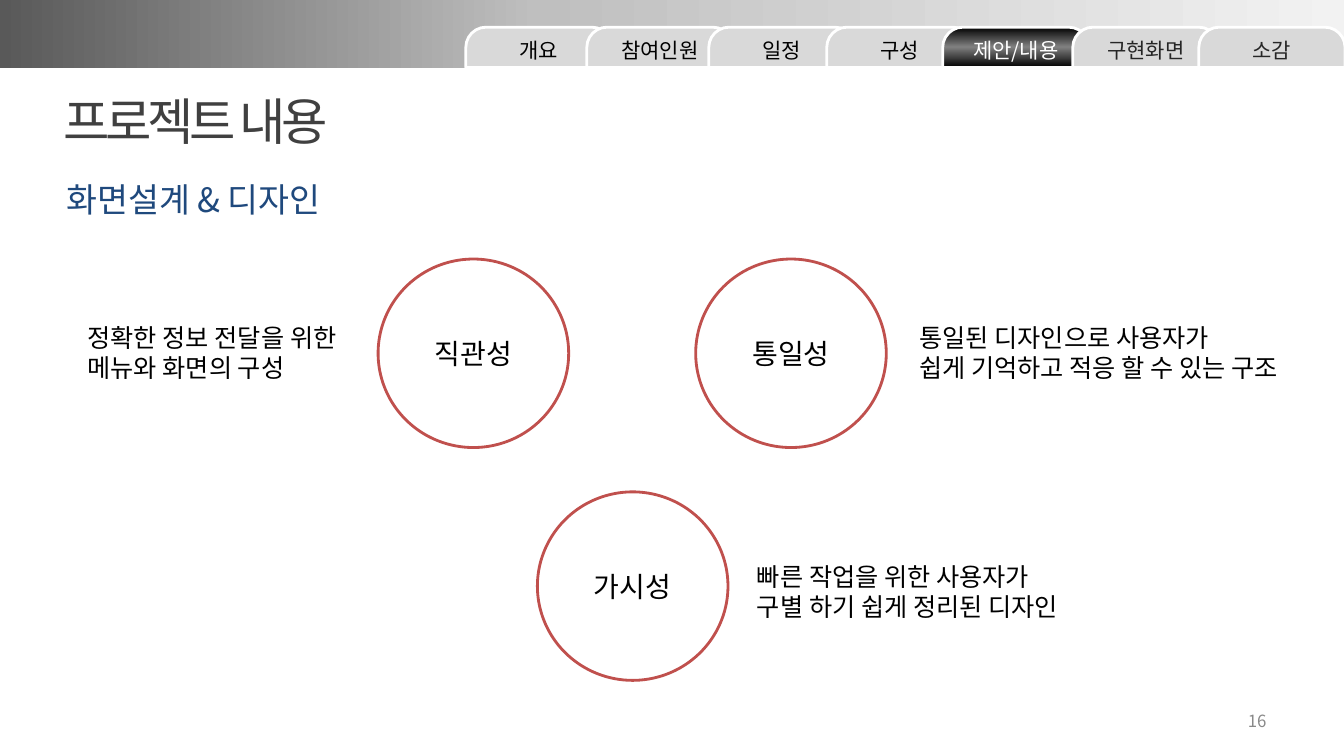
from dataclasses import dataclass

from lxml import etree
from pptx import Presentation
from pptx.dml.color import RGBColor
from pptx.enum.shapes import MSO_SHAPE
from pptx.enum.text import MSO_ANCHOR, MSO_AUTO_SIZE, PP_ALIGN
from pptx.oxml.ns import qn
from pptx.util import Inches, Pt

# Content
TITLE = "프로젝트 내용"
SUBTITLE = "화면설계 & 디자인"
PAGE_NUMBER = "16"
ACTIVE_TAB = "제안/내용"
TABS = [  # label, left
    ("개요", 4.62), ("참여인원", 5.82), ("일정", 7.03), ("구성", 8.2),
    (ACTIVE_TAB, 9.35), ("구현화면", 10.64), ("소감", 11.89),
]
LATER_TABS = ("구현화면", "소감")
PRINCIPLES = [  # name, circle left and top
    ("직관성", 3.75, 2.57), ("통일성", 6.9, 2.57), ("가시성", 5.33, 4.88),
]
NOTES = [  # lines, box, wrapped
    (["정확한 정보 전달을 위한", "메뉴와 화면의 구성"], (0.77, 3.15, 2.75, 0.71), False),
    (["통일된 디자인으로 사용자가", "쉽게 기억하고 적응 할 수 있는 구조"],
     (9.02, 3.15, 3.8, 0.71), True),
    (["빠른 작업을 위한 사용자가", "구별 하기 쉽게 정리된 디자인"],
     (7.41, 5.52, 3.27, 0.71), False),
]


@dataclass(frozen=True)
class Theme:
    font: str = "Noto Sans CJK KR"
    black: str = "000000"
    white: str = "FFFFFF"
    title: str = "404040"
    subtitle: str = "1F497D"
    circle: str = "C0504D"
    tab: str = "D9D9D9"
    later_tab: str = "262626"
    number: str = "898989"
    bar: tuple = ((0, "595959"), (40, "BFBFBF"), (100, "F2F2F2"))
    active: tuple = ((0, "000000"), (51, "808080"), (100, "000000"))
    title_size: int = 36
    subtitle_size: int = 24
    circle_size: int = 20
    note_size: int = 18
    tab_size: int = 15
    number_size: int = 12
    line: int = 2


THEME = Theme()


def write(shape, lines, size, color, align=PP_ALIGN.LEFT,
          anchor=MSO_ANCHOR.MIDDLE, wrap=True, grow=False, spacing=None):
    frame = shape.text_frame
    frame.word_wrap = wrap
    frame.auto_size = MSO_AUTO_SIZE.SHAPE_TO_FIT_TEXT if grow else MSO_AUTO_SIZE.NONE
    frame.vertical_anchor = anchor
    for index, line in enumerate(lines):
        para = frame.add_paragraph() if index else frame.paragraphs[0]
        para.alignment = align
        span = para.add_run()
        span.text = line
        span.font.name = THEME.font
        span.font.size = Pt(size)
        span.font.color.rgb = RGBColor.from_string(color)
        properties = span.font._element
        etree.SubElement(properties, qn("a:ea")).set("typeface", THEME.font)
        if spacing is not None:
            properties.set("spc", str(spacing * 100))


def fill_gradient(shape, stops, angle):
    shape.fill.gradient()
    shape.fill.gradient_angle = angle
    stop_list = shape._element.spPr.find(qn("a:gradFill")).find(qn("a:gsLst"))
    for stop in list(stop_list):
        stop_list.remove(stop)
    for position, color in stops:
        stop = etree.SubElement(stop_list, qn("a:gs"), pos=str(position * 1000))
        etree.SubElement(stop, qn("a:srgbClr"), val=color)


def add_shape(page, kind, box, fill=None, line=None):
    shape = page.shapes.add_shape(kind, *map(Inches, box))
    shape.shadow.inherit = False
    if fill:
        shape.fill.solid()
        shape.fill.fore_color.rgb = RGBColor.from_string(fill)
    if line:
        shape.line.color.rgb = RGBColor.from_string(line)
        shape.line.width = Pt(THEME.line)
    else:
        shape.line.fill.background()
    return shape


def add_text(page, box, *args, **options):
    write(page.shapes.add_textbox(*map(Inches, box)), *args, **options)


def main():
    deck = Presentation()
    deck.slide_width, deck.slide_height = Inches(13.33), Inches(7.5)
    page = deck.slides.add_slide(deck.slide_layouts[5])

    # Header bar
    bar = add_shape(page, MSO_SHAPE.RECTANGLE, (0, -0.01, 13.33, 0.68))
    fill_gradient(bar, THEME.bar, 0)

    # Title and subtitle
    title = page.shapes.title
    title.left, title.top, title.width, title.height = map(Inches, (0.53, 0.84, 3.08, 0.71))
    write(title, [TITLE], THEME.title_size, THEME.title,
          anchor=MSO_ANCHOR.TOP, wrap=False, grow=True, spacing=-3)
    add_text(page, (0.56, 1.81, 8.46, 0.33), [SUBTITLE],
             THEME.subtitle_size, THEME.subtitle)

    # Design principles
    for name, left, top in PRINCIPLES:
        circle = add_shape(page, MSO_SHAPE.OVAL, (left, top, 1.89, 1.87),
                           THEME.white, THEME.circle)
        write(circle, [name], THEME.circle_size, THEME.black, PP_ALIGN.CENTER)
    for lines, box, wrapped in NOTES:
        add_text(page, box, lines, THEME.note_size, THEME.black,
                 anchor=MSO_ANCHOR.TOP, wrap=wrapped, grow=True)

    # Page number
    add_text(page, (9.55, 6.95, 3.11, 0.4), [PAGE_NUMBER],
             THEME.number_size, THEME.number, PP_ALIGN.RIGHT)

    # Navigation tabs, each overlapping the one before
    for label, left in TABS:
        tab = add_shape(page, MSO_SHAPE.ROUND_2_SAME_RECTANGLE,
                        (left, 0.27, 1.45, 0.4), THEME.tab, THEME.white)
        tab.adjustments[0], tab.adjustments[1] = 0.5, 0
        color = THEME.later_tab if label in LATER_TABS else THEME.black
        if label == ACTIVE_TAB:
            fill_gradient(tab, THEME.active, 90)
            color = THEME.white
        write(tab, [label], THEME.tab_size, color, PP_ALIGN.CENTER)

    deck.save("out.pptx")


if __name__ == "__main__":
    main()
